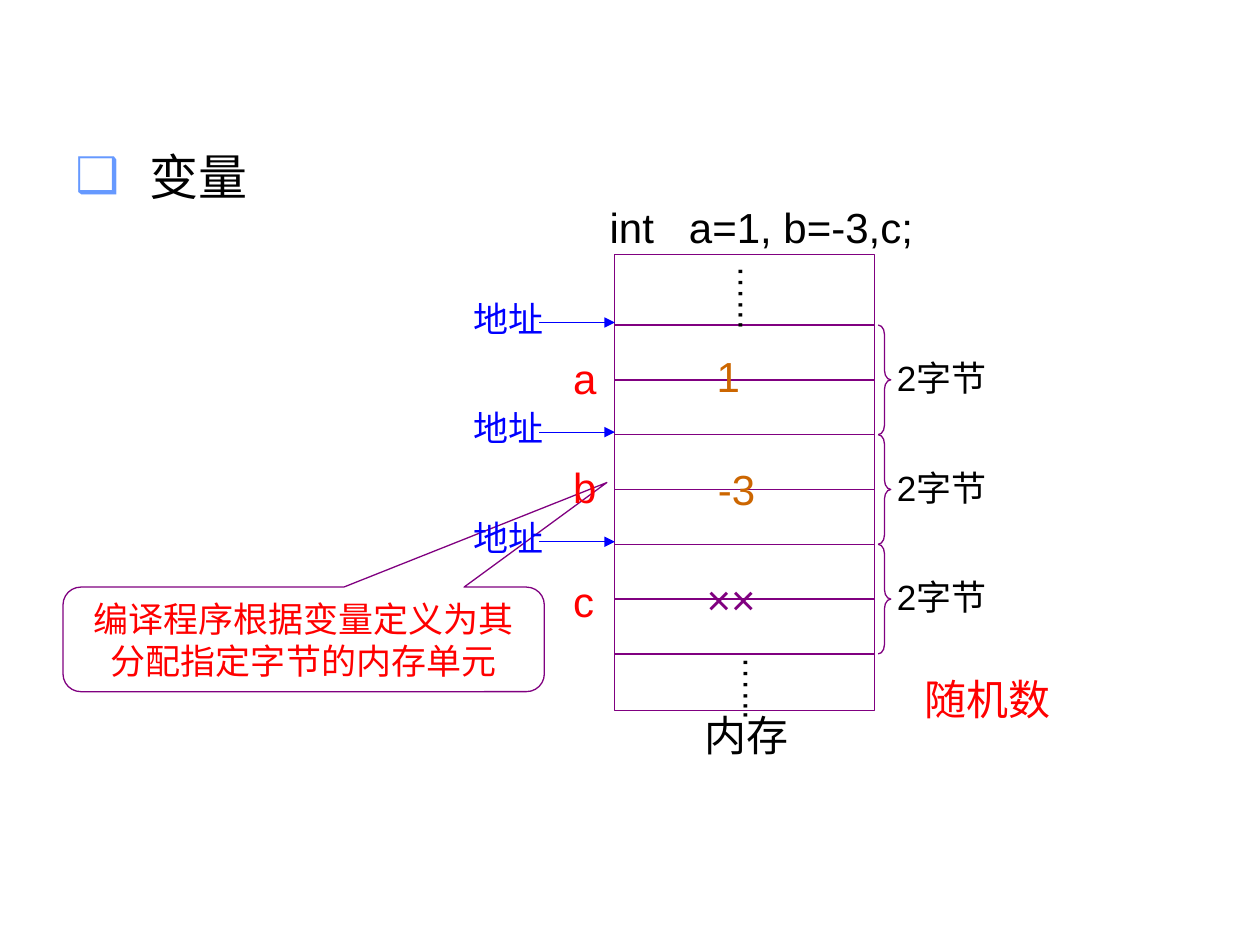
from dataclasses import dataclass

from lxml.etree import SubElement
from pptx import Presentation
from pptx.dml.color import RGBColor
from pptx.enum.shapes import MSO_CONNECTOR, MSO_SHAPE
from pptx.enum.text import MSO_ANCHOR, MSO_AUTO_SIZE, PP_ALIGN
from pptx.oxml.ns import qn
from pptx.util import Inches, Pt


@dataclass(frozen=True)
class Theme:
    font: str = "Arial"
    heading_font: str = "Calibri"
    heading: int = 28
    large: int = 24
    medium: int = 20
    line_width: float = 0.75
    black: str = "000000"
    white: str = "FFFFFF"
    red: str = "FF0000"
    blue: str = "0000FF"
    purple: str = "800080"
    orange: str = "CC6600"
    bullet: str = "6699FF"


THEME = Theme()

# Memory block geometry, in inches
MEMORY_LEFT, MEMORY_TOP, MEMORY_WIDTH, MEMORY_HEIGHT = 4.88, 2.02, 2.06, 3.62
FIRST_DIVIDER, LAST_DIVIDER, BYTE_COUNT = 2.58, 5.19, 6
BYTE_HEIGHT = (LAST_DIVIDER - FIRST_DIVIDER) / BYTE_COUNT

# Each variable: name, top of name, value, value left, top, width, value colour
VARIABLES = [
    ("a", 2.75, "1", 5.59, 2.73, 0.4, THEME.orange),
    ("b", 3.61, "-3", 5.6, 3.63, 0.53, THEME.orange),
    ("c", 4.52, "××", 5.51, 4.5, 0.73, THEME.purple),
]


def rgb(color):
    return RGBColor.from_string(color)


def style_text(frame, size, color, font=THEME.font):
    for para in frame.paragraphs:
        for span in para.runs:
            span.font.size = Pt(size)
            span.font.name = font
            span.font.color.rgb = rgb(color)


def add_label(page, text, left, top, width, size, color, height=0.5):
    box = page.shapes.add_textbox(Inches(left), Inches(top), Inches(width), Inches(height))
    frame = box.text_frame
    frame.word_wrap = False
    frame.auto_size = MSO_AUTO_SIZE.SHAPE_TO_FIT_TEXT
    frame.text = text
    style_text(frame, size, color)
    return box


def add_vertical_dots(page, left, top):
    box = add_label(page, "…...", left, top, 0.53, THEME.medium, THEME.black, 0.61)
    frame = box.text_frame
    frame.margin_left = frame.margin_right = Inches(0.05)
    frame.margin_top = frame.margin_bottom = Inches(0.05)
    frame._txBody.bodyPr.set("vert", "eaVert")


def add_outlined_shape(page, kind, left, top, width, height, fill=None):
    shape = page.shapes.add_shape(kind, Inches(left), Inches(top), Inches(width), Inches(height))
    shape.shadow.inherit = False
    if fill:
        shape.fill.solid()
        shape.fill.fore_color.rgb = rgb(fill)
    else:
        shape.fill.background()
    shape.line.color.rgb = rgb(THEME.purple)
    shape.line.width = Pt(THEME.line_width)
    return shape


def add_horizontal_line(page, left, right, y, color, arrow=False):
    line = page.shapes.add_connector(
        MSO_CONNECTOR.STRAIGHT, Inches(left), Inches(y), Inches(right), Inches(y))
    line.line.color.rgb = rgb(color)
    line.line.width = Pt(THEME.line_width)
    if arrow:
        SubElement(line.line._get_or_add_ln(), qn("a:tailEnd"), type="triangle")
    SubElement(line._element.spPr, qn("a:effectLst"))


def add_heading(page, text):
    box = page.shapes.add_textbox(Inches(0), Inches(1.11), Inches(9.4), Inches(0.86))
    frame = box.text_frame
    frame.word_wrap = True
    frame.text = text
    para = frame.paragraphs[0]
    para.level = 1
    properties = para._p.get_or_add_pPr()
    properties.set("marL", str(Inches(1.09)))
    properties.set("indent", str(-Inches(0.59)))
    bullet_color = SubElement(properties, qn("a:buClr"))
    SubElement(bullet_color, qn("a:srgbClr"), val=THEME.bullet)
    SubElement(properties, qn("a:buFont"), typeface=THEME.font)
    SubElement(properties, qn("a:buChar"), char="❑")
    style_text(frame, THEME.heading, THEME.black, THEME.heading_font)


def add_callout(page, lines):
    callout = add_outlined_shape(
        page, MSO_SHAPE.ROUNDED_RECTANGULAR_CALLOUT, 0.5, 4.66, 3.82, 0.83, THEME.white)
    for index, value in enumerate((0.63, -1.5, 0.17)):
        callout.adjustments[index] = value
    frame = callout.text_frame
    frame.word_wrap = False
    frame.vertical_anchor = MSO_ANCHOR.MIDDLE
    frame.text = "\n".join(lines)
    for para in frame.paragraphs:
        para.alignment = PP_ALIGN.CENTER
    style_text(frame, THEME.medium, THEME.red)


def add_memory(page):
    add_outlined_shape(page, MSO_SHAPE.RECTANGLE, MEMORY_LEFT, MEMORY_TOP,
                       MEMORY_WIDTH, MEMORY_HEIGHT, THEME.white)
    for index in range(BYTE_COUNT + 1):
        add_horizontal_line(page, MEMORY_LEFT, MEMORY_LEFT + MEMORY_WIDTH,
                            FIRST_DIVIDER + index * BYTE_HEIGHT, THEME.purple)
    add_vertical_dots(page, 5.66, 2.01)
    add_vertical_dots(page, 5.7, 5.11)


def add_variable(page, index, variable):
    name, name_top, value, value_left, value_top, value_width, color = variable
    offset = index * 2 * BYTE_HEIGHT

    # Address and its arrow
    add_horizontal_line(page, 4.28, MEMORY_LEFT, 2.56 + offset, THEME.blue, arrow=True)
    add_label(page, "地址", 3.66, 2.31 + offset, 0.8, THEME.medium, THEME.blue, 0.44)

    # Name and stored value
    add_label(page, name, 4.45, name_top, 0.4, THEME.large, THEME.red)
    add_label(page, value, value_left, value_top, value_width, THEME.large, color)

    # Size in bytes
    brace = add_outlined_shape(page, MSO_SHAPE.RIGHT_BRACE, 6.97, FIRST_DIVIDER + offset,
                               0.1, 2 * BYTE_HEIGHT)
    brace.adjustments[0] = 0.75
    add_label(page, "2字节", 7.02, 2.78 + offset, 0.98, THEME.medium, THEME.black, 0.44)


def main():
    deck = Presentation()
    deck.slide_width, deck.slide_height = Inches(10), Inches(7.5)
    page = deck.slides.add_slide(deck.slide_layouts[6])

    # Callout lies behind the diagram
    add_callout(page, ["编译程序根据变量定义为其", "分配指定字节的内存单元"])

    # Memory diagram
    add_memory(page)
    for index, variable in enumerate(VARIABLES):
        add_variable(page, index, variable)

    # Captions
    add_label(page, "int   a=1, b=-3,c;", 4.74, 1.55, 2.65, THEME.large, THEME.black)
    add_label(page, "内存", 5.49, 5.58, 0.92, THEME.large, THEME.black)
    add_label(page, "随机数", 7.24, 5.3, 1.25, THEME.large, THEME.red)
    add_heading(page, "变量")

    deck.save("out.pptx")


if __name__ == "__main__":
    main()
